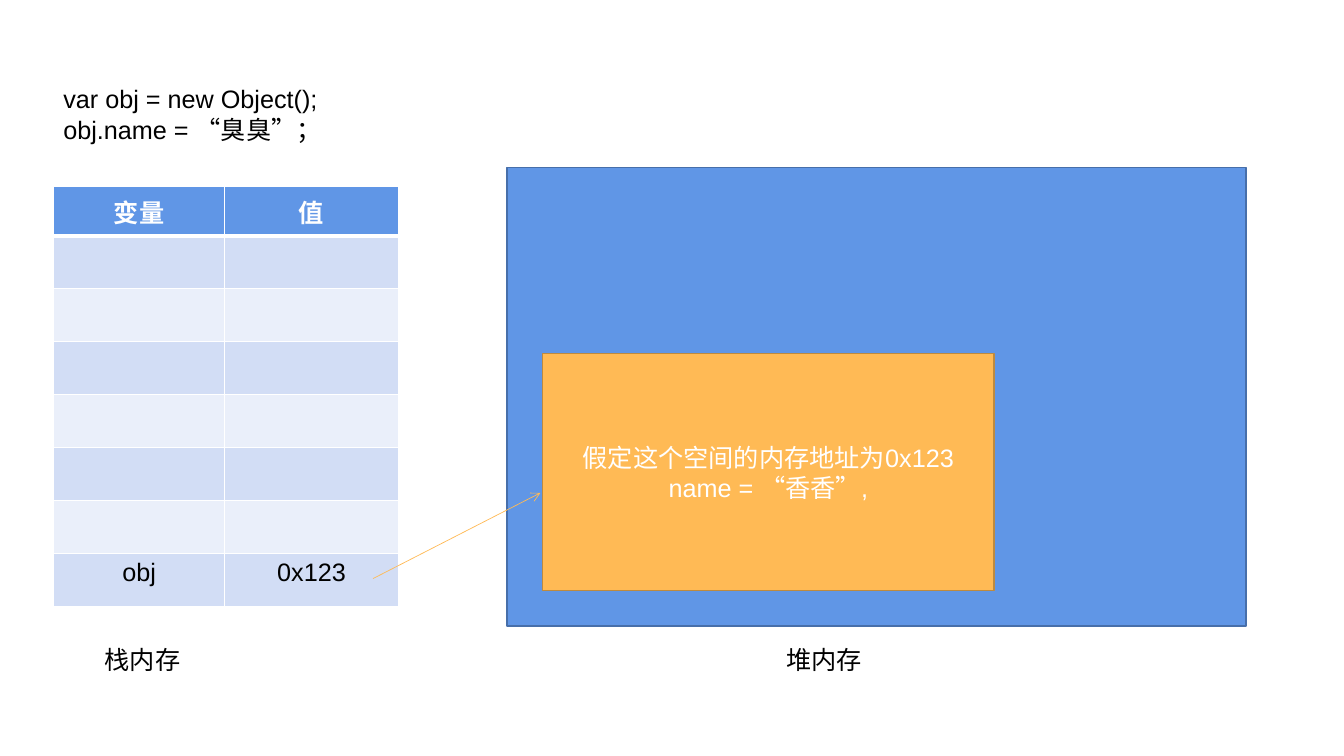
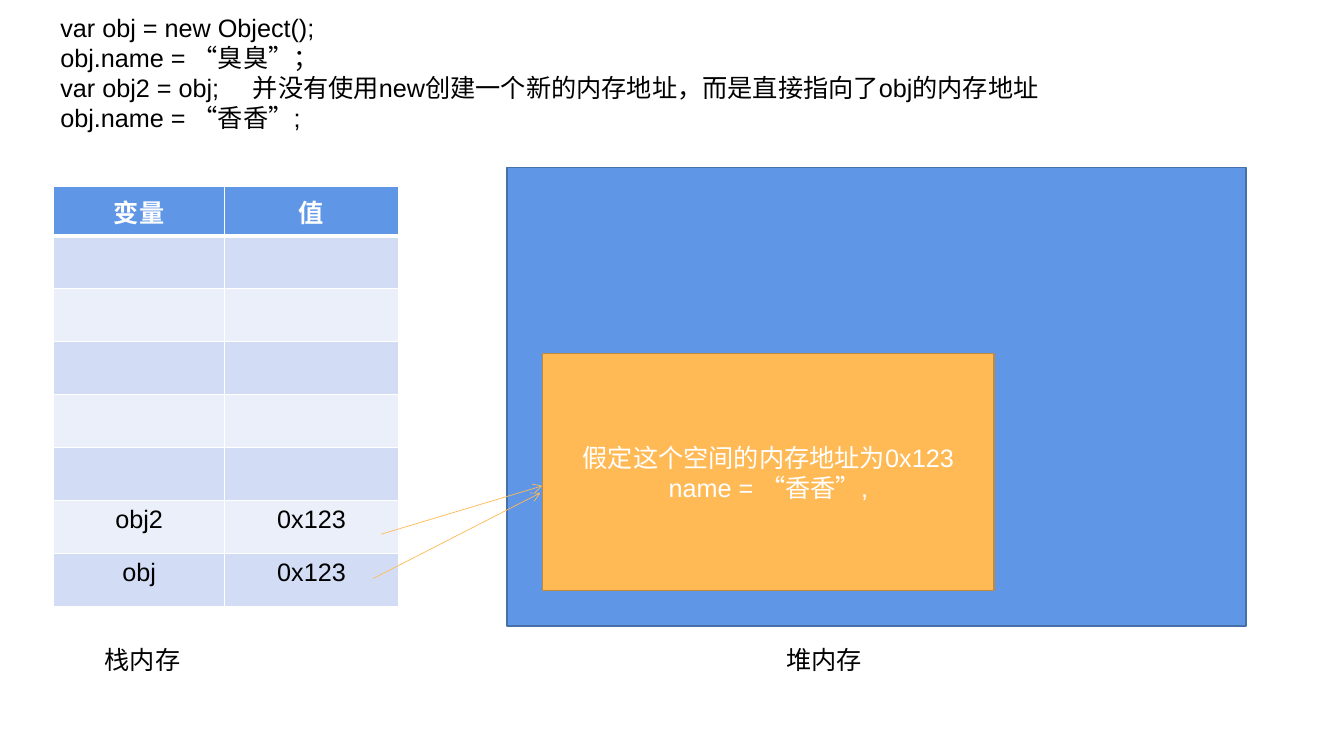
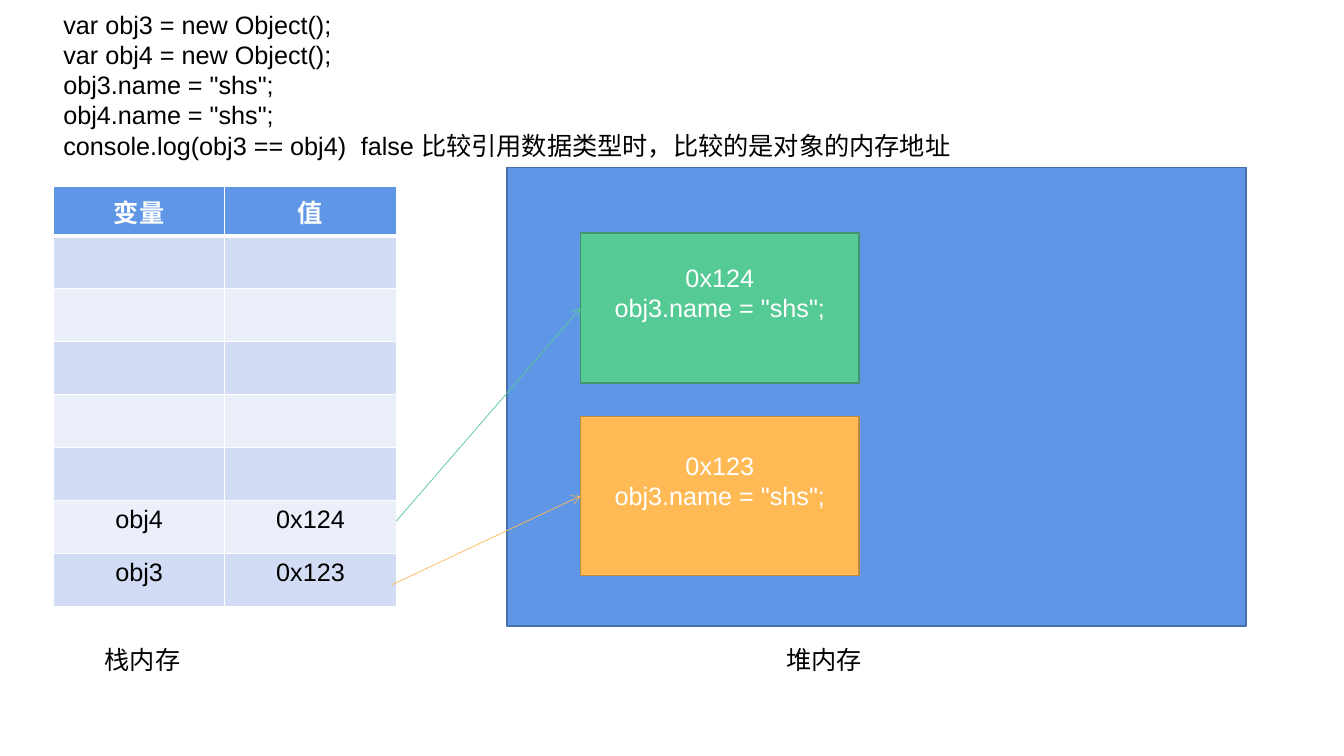
"""Builds three slides on stack memory, heap memory and object references."""
from dataclasses import dataclass

from lxml import etree
from pptx import Presentation
from pptx.dml.color import RGBColor
from pptx.enum.lang import MSO_LANGUAGE_ID
from pptx.enum.shapes import MSO_CONNECTOR, MSO_SHAPE
from pptx.enum.text import MSO_ANCHOR, PP_ALIGN
from pptx.oxml.ns import qn
from pptx.util import Inches, Pt

CHINESE = MSO_LANGUAGE_ID.SIMPLIFIED_CHINESE
STRAIGHT = MSO_CONNECTOR.STRAIGHT
RECTANGLE = MSO_SHAPE.RECTANGLE
TOP, MIDDLE = MSO_ANCHOR.TOP, MSO_ANCHOR.MIDDLE
LEFT, CENTER = PP_ALIGN.LEFT, PP_ALIGN.CENTER
LEFT_SIDE = 1


@dataclass(frozen=True)
class Theme:
    font: str = "Arial"
    size: float = 18
    white: str = "FFFFFF"
    black: str = "000000"
    heap: tuple = ("6096E6", "476FAA")
    orange: tuple = ("FFBA55", "BD8A3F")
    green: tuple = ("56CA95", "40956E")
    bands: tuple = ("D2DDF5", "EAEFFA")
    outline: float = 1
    arrow: float = 0.5
    grid: float = 1
    header_rule: float = 3


THEME = Theme()

HEADER = ("变量", "值")
BODY_ROWS = 7
HEADER_HEIGHT, ROW_HEIGHT = 0.49, 0.525
TABLE_AT = (0.53, 1.85)
HEAP_AT = (5.03, 1.66, 7.33, 4.55)
CAPTIONS = [("栈内存", (0.94, 6.34, 2.19, 0.4)), ("堆内存", (7.7, 6.34, 1.99, 0.4))]

SHARED_OBJECT = {
    "lines": ["假定这个空间的内存地址为0x123", "name = “香香”,"],
    "at": (5.38, 3.51, 4.48, 2.35), "colors": THEME.orange, "bottom": 0.05,
}
OBJ_ARROW = {"start": (3.7, 5.74), "end": (5.36, 4.89), "color": THEME.orange[0]}

SLIDES = [
    {
        "code": ["var obj = new Object();", "obj.name = “臭臭”；"],
        "code_at": (0.53, 0.78, 10.55, 0.71), "tab": 1.91,
        "columns": (1.7, 1.72),
        "variables": [("obj", "0x123")],
        "objects": [SHARED_OBJECT],
        "arrows": [OBJ_ARROW],
    },
    {
        "code": [
            "var obj = new Object();",
            "obj.name = “臭臭”；",
            "var obj2 = obj;\t并没有使用new创建一个新的内存地址，而是直接指向了obj的内存地址",
            "obj.name = “香香”;",
        ],
        "code_at": (0.5, 0.07, 10.55, 1.61), "tab": 1.91,
        "columns": (1.7, 1.72),
        "variables": [("obj2", "0x123"), ("obj", "0x123")],
        "objects": [SHARED_OBJECT],
        "arrows": [
            {"start": (3.78, 5.3), "end": (5.38, 4.82), "color": THEME.orange[0]},
            OBJ_ARROW,
        ],
    },
    {
        "code": [
            "var obj3 = new Object();",
            "var obj4 = new Object();",
            'obj3.name = "shs";',
            'obj4.name = "shs";',
            "console.log(obj3 == obj4)\tfalse 比较引用数据类型时，比较的是对象的内存地址",
        ],
        "code_at": (0.53, 0.04, 10.35, 1.61), "tab": 2.95,
        "columns": (1.7, 1.7),
        "variables": [("obj4", "0x124"), ("obj3", "0x123")],
        "objects": [
            {"lines": ["0x123", 'obj3.name = "shs";'], "at": (5.76, 4.13, 2.76, 1.58),
             "colors": THEME.orange, "bottom": 0.35},
            {"lines": ["0x124", 'obj3.name = "shs";'], "at": (5.76, 2.31, 2.76, 1.49),
             "colors": THEME.green, "bottom": 0.35},
        ],
        "arrows": [
            {"start": (3.89, 5.8), "target": 0, "color": THEME.orange[0]},
            {"start": (3.93, 5.17), "target": 1, "color": THEME.green[0]},
        ],
    },
]


def inches(values):
    return [Inches(value) for value in values]


def rgb(color):
    return RGBColor.from_string(color)


def write(frame, lines, color, align=LEFT, bold=False, tab=None):
    for index, line in enumerate(lines):
        paragraph = frame.paragraphs[0] if index == 0 else frame.add_paragraph()
        paragraph.alignment = align
        if tab and "\t" in line:
            stops = etree.SubElement(paragraph._p.get_or_add_pPr(), qn("a:tabLst"))
            etree.SubElement(stops, qn("a:tab"), pos=str(Inches(tab)), algn="l")
        run = paragraph.add_run()
        run.text = line
        run.font.name = THEME.font
        run.font.size = Pt(THEME.size)
        run.font.bold = bold
        run.font.color.rgb = rgb(color)
        run.font.language_id = CHINESE


def add_text(slide, lines, at, tab=None):
    frame = slide.shapes.add_textbox(*inches(at)).text_frame
    frame.word_wrap = True
    write(frame, lines, THEME.black, tab=tab)


def add_box(slide, at, colors):
    box = slide.shapes.add_shape(RECTANGLE, *inches(at))
    box.shadow.inherit = False
    fill, line = colors
    box.fill.solid()
    box.fill.fore_color.rgb = rgb(fill)
    box.line.color.rgb = rgb(line)
    box.line.width = Pt(THEME.outline)
    return box


def add_object(slide, item):
    box = add_box(slide, item["at"], item["colors"])
    frame = box.text_frame
    frame.word_wrap = True
    frame.vertical_anchor = MIDDLE
    frame.margin_bottom = Inches(item["bottom"])
    write(frame, item["lines"], THEME.white, CENTER)
    return box


def add_arrow(slide, item, boxes):
    start = inches(item["start"])
    arrow = slide.shapes.add_connector(STRAIGHT, *start, *inches(item.get("end", item["start"])))
    if "target" in item:
        arrow.end_connect(boxes[item["target"]], LEFT_SIDE)
    arrow.line.color.rgb = rgb(item["color"])
    arrow.line.width = Pt(THEME.arrow)
    etree.SubElement(arrow.line._get_or_add_ln(), qn("a:tailEnd"), type="arrow")
    etree.SubElement(arrow._element.spPr, qn("a:effectLst"))


def set_borders(cell, row):
    thick = {0: "lnB", 1: "lnT"}.get(row)
    properties = cell._tc.get_or_add_tcPr()
    for side in ("lnL", "lnR", "lnT", "lnB"):
        width = THEME.header_rule if side == thick else THEME.grid
        line = etree.SubElement(properties, qn(f"a:{side}"), w=str(Pt(width)))
        fill = etree.SubElement(line, qn("a:solidFill"))
        etree.SubElement(fill, qn("a:srgbClr"), val=THEME.white)


def add_stack(slide, columns, variables):
    blanks = [("", "")] * (BODY_ROWS - len(variables))
    rows = [HEADER] + blanks + variables
    heights = [HEADER_HEIGHT] + [ROW_HEIGHT] * BODY_ROWS
    size = (sum(columns), sum(heights))
    stack = slide.shapes.add_table(len(rows), len(columns), *inches(TABLE_AT + size)).table
    for column, width in zip(stack.columns, columns):
        column.width = Inches(width)
    for r, (values, height) in enumerate(zip(rows, heights)):
        stack.rows[r].height = Inches(height)
        header = r == 0
        for c, value in enumerate(values):
            cell = stack.cell(r, c)
            set_borders(cell, r)
            cell.fill.solid()
            cell.fill.fore_color.rgb = rgb(THEME.heap[0] if header else THEME.bands[(r - 1) % 2])
            cell.vertical_anchor = MIDDLE if header else TOP
            if value:
                write(cell.text_frame, [value], THEME.white if header else THEME.black,
                      CENTER, header)


def build_slide(deck, content):
    slide = deck.slides.add_slide(deck.slide_layouts[6])
    add_stack(slide, content["columns"], content["variables"])
    add_box(slide, HEAP_AT, THEME.heap)
    for caption, at in CAPTIONS:
        add_text(slide, [caption], at)
    add_text(slide, content["code"], content["code_at"], content["tab"])
    boxes = [add_object(slide, item) for item in content["objects"]]
    for item in content["arrows"]:
        add_arrow(slide, item, boxes)


def main():
    deck = Presentation()
    deck.slide_width, deck.slide_height = inches((13.33, 7.5))
    for content in SLIDES:
        build_slide(deck, content)
    deck.save("out.pptx")


if __name__ == "__main__":
    main()
